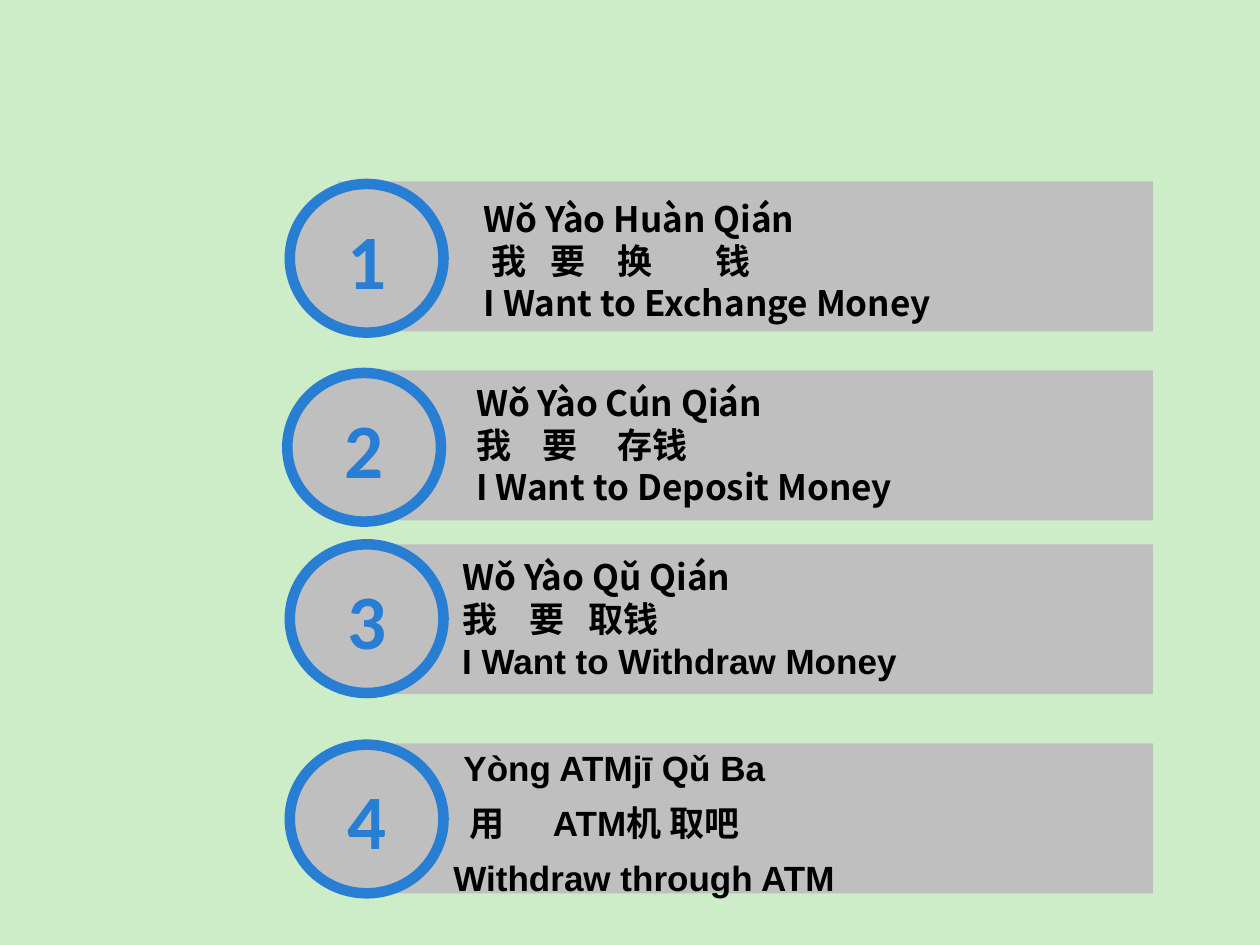
from lxml.etree import SubElement
from pptx import Presentation
from pptx.dml.color import RGBColor
from pptx.enum.shapes import MSO_SHAPE
from pptx.enum.text import MSO_ANCHOR, PP_ALIGN
from pptx.oxml.ns import qn
from pptx.util import Inches, Pt

GREEN, GRAY, BLUE, BLACK = "CCEDC7", "BFBFBF", "287ED3", "000000"
SANS, ARIAL = "Noto Sans CJK SC", "Arial"
BAR_RIGHT, BAR_HEIGHT = 9.15, 1.19


def paint(fill, color):
    fill.solid()
    fill.fore_color.rgb = RGBColor.from_string(color)


def style_line(paragraph, font_name, tab_stops):
    """Format one lesson line and place its characters on tab stops in inches."""
    if tab_stops:
        tab_list = SubElement(paragraph._p.get_or_add_pPr(), qn("a:tabLst"))
        for stop in tab_stops:
            SubElement(tab_list, qn("a:tab"), pos=str(Inches(stop)), algn="l")
    for span in paragraph.runs:
        span.font.size = Pt(20)
        span.font.bold = True
        span.font.name = font_name
        paint(span.font.fill, BLACK)
        SubElement(span._r.get_or_add_rPr(), qn("a:ea"), typeface=SANS)


deck = Presentation()
deck.slide_width, deck.slide_height = Inches(10), Inches(7.5)
page = deck.slides.add_slide(deck.slide_layouts[6])
paint(page.background.fill, GREEN)

# bar left and top, circle left and top, text box (left, top, width, height),
# then lines as (text, font, tab stops)
lessons = [
    (2.68, 1.44, 2.3, 1.46, (3.74, 1.52, 4.55, 1.1), [
        ("Wǒ Yào Huàn Qián", SANS, []),
        ("\t我\t要\t换\t钱", SANS, [0.06, 0.53, 1.06, 1.84]),
        ("I Want to Exchange Money", SANS, [])]),
    (2.68, 2.94, 2.28, 2.96, (3.68, 2.98, 4.6, 1.1), [
        ("Wǒ Yào Cún Qián", SANS, []),
        ("我\t要\t存钱", SANS, [0.53, 1.12]),
        ("I Want to Deposit Money", SANS, [])]),
    (2.68, 4.32, 2.3, 4.32, (3.57, 4.36, 5.29, 1.1), [
        ("Wǒ Yào Qǔ Qián", SANS, []),
        ("我\t要\t取钱", SANS, [0.53, 1]),
        ("I Want to Withdraw Money", ARIAL, [])]),
    (3.04, 5.9, 2.3, 5.91, (3.5, 5.91, 5.32, 1.28), [
        ("\tYòng ATMjī Qǔ Ba", ARIAL, [0.08]),
        ("\t用\tATM机 取吧", ARIAL, [0.13, 0.79]),
        ("Withdraw through ATM", ARIAL, [])]),
]

for number, lesson in enumerate(lessons, start=1):
    bar_left, bar_top, circle_left, circle_top, text_area, lines = lesson

    bar = page.shapes.add_shape(
        MSO_SHAPE.RECTANGLE, Inches(bar_left), Inches(bar_top),
        Inches(BAR_RIGHT - bar_left), Inches(BAR_HEIGHT))
    bar.shadow.inherit = False
    paint(bar.fill, GRAY)
    bar.line.fill.background()

    circle = page.shapes.add_shape(
        MSO_SHAPE.OVAL, Inches(circle_left), Inches(circle_top),
        Inches(1.22), Inches(1.18))
    circle.shadow.inherit = False
    paint(circle.fill, GRAY)
    paint(circle.line.fill, BLUE)
    circle.line.width = Pt(6)
    circle.text_frame.text = str(number)
    circle.text_frame.vertical_anchor = MSO_ANCHOR.MIDDLE
    paragraph = circle.text_frame.paragraphs[0]
    paragraph.alignment = PP_ALIGN.CENTER
    digit = paragraph.runs[0].font
    digit.name, digit.size, digit.bold = "Calibri", Pt(44), True
    paint(digit.fill, BLUE)

    box = page.shapes.add_textbox(*[Inches(length) for length in text_area])
    box.text_frame.word_wrap = True
    box.text_frame.text = "\n".join(text for text, _, _ in lines)
    for paragraph, (_, font_name, tab_stops) in zip(box.text_frame.paragraphs, lines):
        if number == 4:
            paragraph.line_spacing = 0.9
            paragraph.space_before = Pt(10)
        style_line(paragraph, font_name, tab_stops)

deck.save("out.pptx")
